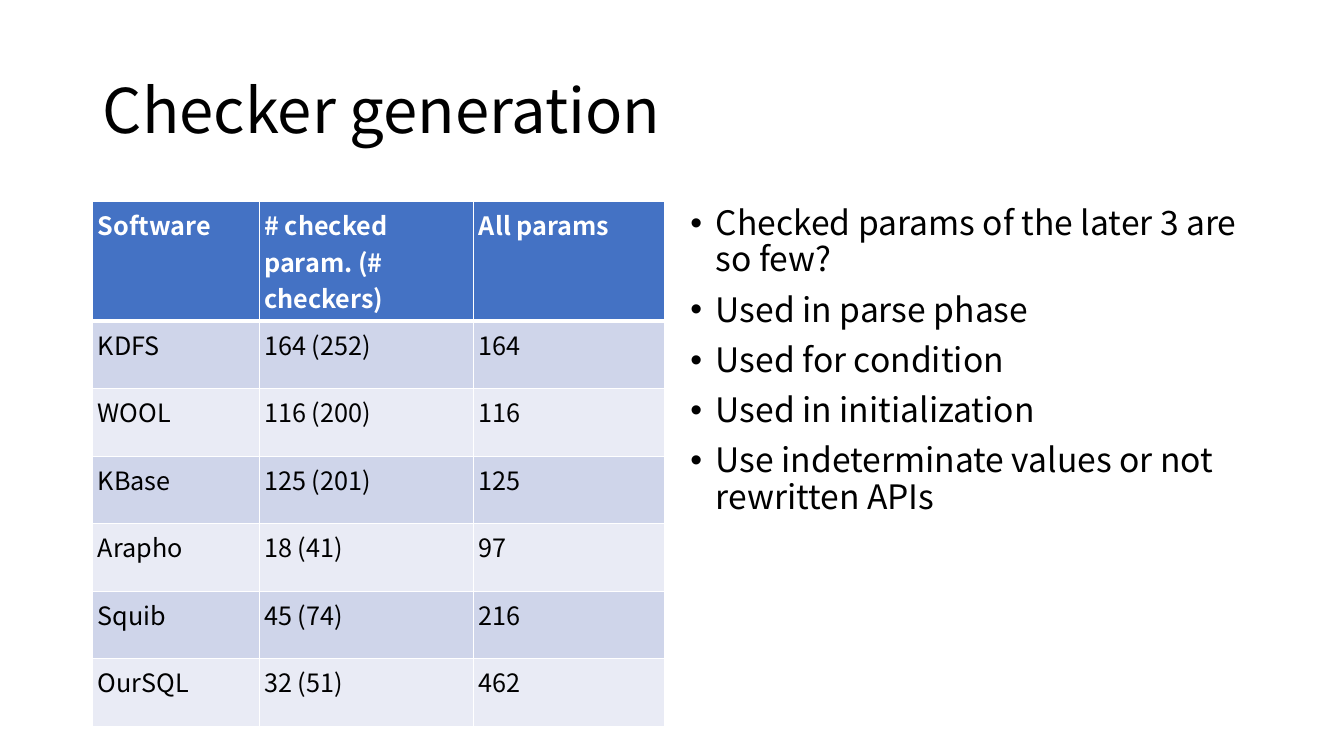
from lxml import etree
from pptx import Presentation
from pptx import util as u
from pptx.dml.color import RGBColor
from pptx.enum import text
from pptx.oxml import ns

BLACK = RGBColor(0x00, 0x00, 0x00)
WHITE = RGBColor(0xFF, 0xFF, 0xFF)
HEADER_BLUE = RGBColor(0x44, 0x72, 0xC4)
BANDS = (RGBColor(0xE9, 0xEB, 0xF5), RGBColor(0xCF, 0xD5, 0xEA))

COLUMN_WIDTHS = (1.65, 2.13, 1.89)
ROW_HEIGHT = 0.67
CHECKERS = (
    ("Software", "# checked param. (# checkers)", "All params"),
    ("KDFS", "164 (252)", "164"),
    ("WOOL", "116 (200)", "116"),
    ("KBase", "125 (201)", "125"),
    ("Arapho", "18 (41)", "97"),
    ("Squib", "45 (74)", "216"),
    ("OurSQL", "32 (51)", "462"),
)
REMARKS = (
    "Checked params of the later 3 are so few?",
    "Used in parse phase",
    "Used for condition",
    "Used in initialization",
    "Use indeterminate values or not rewritten APIs",
)


class SlideBuilder:
    font = "Noto Sans CJK SC"

    def __init__(self, deck):
        self.slide = deck.slides.add_slide(deck.slide_layouts[5])

    def add_run(self, paragraph, words, size, color=BLACK, bold=False):
        run = paragraph.add_run()
        run.text = words
        run.font.name = self.font
        run.font.size = u.Pt(size)
        run.font.bold = bold
        run.font.color.rgb = color
        east_asian = etree.SubElement(run.font._element, ns.qn("a:ea"))
        east_asian.set("typeface", self.font)

    def title(self, words, left, top, width, height):
        heading = self.slide.shapes.title
        heading.left, heading.top = u.Inches(left), u.Inches(top)
        heading.width, heading.height = u.Inches(width), u.Inches(height)
        frame = heading.text_frame
        frame.vertical_anchor = text.MSO_ANCHOR.MIDDLE
        paragraph = frame.paragraphs[0]
        paragraph.alignment = text.PP_ALIGN.LEFT
        paragraph.line_spacing = 0.9
        self.add_run(paragraph, words, 44)

    def border(self, cell, side, width):
        line = etree.SubElement(cell._tc.get_or_add_tcPr(), ns.qn("a:" + side))
        line.set("w", str(u.Pt(width)))
        fill = etree.SubElement(line, ns.qn("a:solidFill"))
        etree.SubElement(fill, ns.qn("a:srgbClr")).set("val", str(WHITE))

    def table(self, rows, left, top, widths, row_height):
        grid = self.slide.shapes.add_table(
            len(rows), len(widths), u.Inches(left), u.Inches(top),
            u.Inches(sum(widths)), u.Inches(row_height * len(rows))).table
        for column, width in zip(grid.columns, widths):
            column.width = u.Inches(width)
        for r, values in enumerate(rows):
            grid.rows[r].height = u.Inches(row_height)
            for c, value in enumerate(values):
                self.cell(grid.cell(r, c), value, r)

    def cell(self, cell, value, row):
        header = row == 0
        cell.margin_left = cell.margin_right = u.Inches(0.05)
        cell.margin_top = cell.margin_bottom = u.Inches(0.05)
        for side in ("lnL", "lnR", "lnT", "lnB"):
            header_rule = (row, side) in ((0, "lnB"), (1, "lnT"))
            self.border(cell, side, 3 if header_rule else 1)
        cell.fill.solid()
        cell.fill.fore_color.rgb = HEADER_BLUE if header else BANDS[row % 2]
        self.add_run(cell.text_frame.paragraphs[0], value, 18,
                     WHITE if header else BLACK, header)

    def bullets(self, items, left, top, width, height):
        frame = self.slide.shapes.add_textbox(
            u.Inches(left), u.Inches(top), u.Inches(width), u.Inches(height)).text_frame
        frame.word_wrap = True
        for i, item in enumerate(items):
            paragraph = frame.add_paragraph() if i else frame.paragraphs[0]
            paragraph.line_spacing = 0.9
            paragraph.space_before = u.Pt(10)
            props = paragraph._p.get_or_add_pPr()
            props.set("marL", str(u.Inches(0.25)))
            props.set("indent", str(u.Inches(-0.25)))
            etree.SubElement(props, ns.qn("a:buFont")).set("typeface", "Arial")
            etree.SubElement(props, ns.qn("a:buChar")).set("char", "•")
            self.add_run(paragraph, item, 24)


def main():
    deck = Presentation()
    deck.slide_width, deck.slide_height = u.Inches(13.33), u.Inches(7.5)
    page = SlideBuilder(deck)
    page.title("Checker generation", 0.92, 0.4, 11.5, 1.45)
    page.table(CHECKERS, 0.92, 2, COLUMN_WIDTHS, ROW_HEIGHT)
    page.bullets(REMARKS, 6.75, 2, 5.67, 4.76)
    deck.save("out.pptx")


if __name__ == "__main__":
    main()
